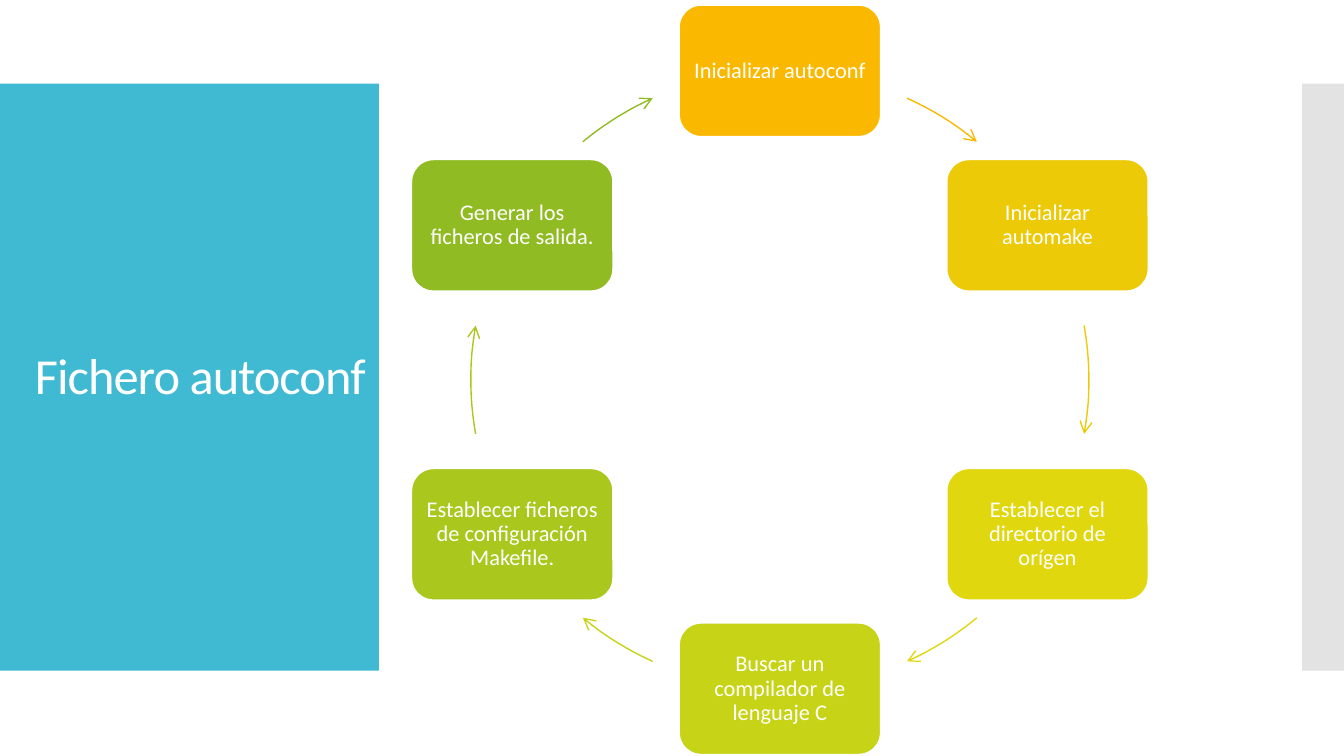
"""Build the slide with the six-step autoconf cycle."""
from math import cos, radians, sin

from lxml.etree import SubElement
from pptx import Presentation
from pptx.dml.color import RGBColor
from pptx.enum.shapes import MSO_SHAPE as SHAPE
from pptx.enum.text import MSO_ANCHOR as ANCHOR, PP_ALIGN as ALIGN
from pptx.oxml.ns import qn
from pptx.util import Cm, Pt

COLORS = {"panel": "40BAD2", "strip": "C8C8C8", "white": "FFFFFF"}
STEPS = [
    ("Inicializar autoconf", "FAB900"),
    ("Inicializar automake", "EDCA08"),
    ("Establecer el directorio de orígen", "E0D70F"),
    ("Buscar un compilador de lenguaje C", "C7D316"),
    ("Establecer ficheros de configuración Makefile.", "A9C71D"),
    ("Generar los ficheros de salida.", "90BB23"),
]
ARROW_SPANS = [(24.3, 39.6), (79.9, 100.1), (140.4, 155.7)]
CENTER_X, CENTER_Y, RADIUS = 14.74, 7.18, 5.84
BOX_W, BOX_H = 3.81, 2.49


def add_block(slide, kind, x, y, w, h, color):
    """Add a filled shape without outline or shadow."""
    sp = slide.shapes.add_shape(kind, Cm(x), Cm(y), Cm(w), Cm(h))
    sp.shadow.inherit = False
    sp.fill.solid()
    sp.fill.fore_color.rgb = RGBColor.from_string(color)
    sp.line.fill.background()
    return sp


def set_text(sp, text, size, align, inset_x, inset_y):
    """Write one white, vertically centred paragraph and return its run."""
    tf = sp.text_frame
    tf.text = text
    tf.word_wrap = True
    tf.vertical_anchor = ANCHOR.MIDDLE
    tf.margin_left = tf.margin_right = Cm(inset_x)
    tf.margin_top = tf.margin_bottom = Cm(inset_y)
    p = tf.paragraphs[0]
    p.alignment = align
    p.line_spacing = 0.9
    r = p.runs[0]
    r.font.name = "Calibri"
    r.font.size = Pt(size)
    r.font.color.rgb = RGBColor.from_string(COLORS["white"])
    return r


def add_title(slide, text):
    """Add the title over the side panel."""
    sp = slide.shapes.add_textbox(Cm(0.41), Cm(1.42), Cm(7.04), Cm(11.46))
    r = set_text(sp, text, 27, ALIGN.LEFT, 0.25, 0.13)
    r.font._element.set("spc", "-50")


def add_step(slide, text, color, angle):
    """Add a rounded step box at a clockwise angle from the top."""
    x = CENTER_X + RADIUS * sin(radians(angle)) - BOX_W / 2
    y = CENTER_Y - RADIUS * cos(radians(angle)) - BOX_H / 2
    sp = add_block(slide, SHAPE.ROUNDED_RECTANGLE, x, y, BOX_W, BOX_H, color)
    sp.line.color.rgb = RGBColor.from_string(COLORS["white"])
    sp.line.width = Pt(0.85)
    set_text(sp, text, 12, ALIGN.CENTER, 0.13, 0.13)


def add_arc_arrow(slide, color, start, end):
    """Add a clockwise arrow along the cycle between two angles from the top."""
    sp = slide.shapes.add_shape(
        SHAPE.ARC, Cm(CENTER_X - RADIUS), Cm(CENTER_Y - RADIUS),
        Cm(2 * RADIUS), Cm(2 * RADIUS))
    for i, angle in enumerate((start, end)):
        sp.adjustments[i] = (angle - 90) % 360 * 0.6
    sp.shadow.inherit = False
    sp.fill.background()
    sp.line.color.rgb = RGBColor.from_string(color)
    sp.line.width = Pt(0.75)
    SubElement(sp.line._get_or_add_ln(), qn("a:tailEnd"), type="arrow")


def main():
    """Create the presentation and save it."""
    prs = Presentation()
    prs.slide_width, prs.slide_height = Cm(25.4), Cm(14.29)
    s = prs.slides.add_slide(prs.slide_layouts[6])
    add_block(s, SHAPE.RECTANGLE, 0, 1.58, 7.16, 11.1, COLORS["panel"])
    strip = add_block(s, SHAPE.RECTANGLE, 24.61, 1.58, 0.79, 11.1, COLORS["strip"])
    color = strip.fill._xPr.find(".//" + qn("a:srgbClr"))
    SubElement(color, qn("a:alpha"), val="50000")
    add_title(s, "Fichero autoconf")
    for i, (text, color) in enumerate(STEPS):
        add_step(s, text, color, 60 * i)
        half, index = divmod(i, len(ARROW_SPANS))
        start, end = ARROW_SPANS[index]
        add_arc_arrow(s, color, start + 180 * half, end + 180 * half)
    prs.save("out.pptx")


if __name__ == "__main__":
    main()
